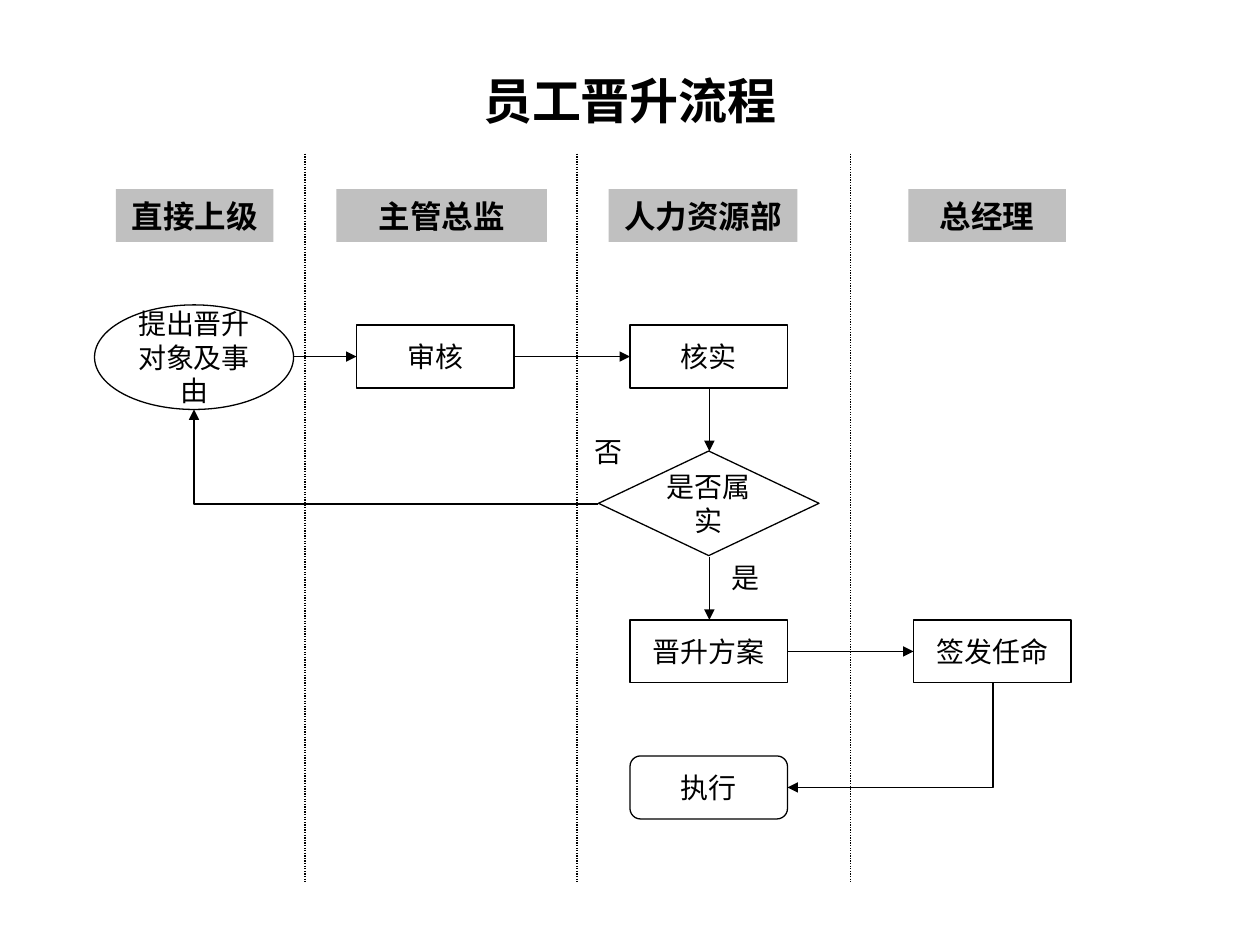
import pptx
import pptx.dml.color
import pptx.enum.dml
import pptx.enum.shapes
import pptx.enum.text
import pptx.oxml
import pptx.oxml.ns
import pptx.util
from dataclasses import dataclass
from pptx.util import Inches


@dataclass(frozen=True)
class Theme:
    font: str = "Times New Roman"
    ink: str = "000000"
    header_fill: str = "C0C0C0"
    title_size: int = 28
    header_size: int = 18
    body_size: int = 16
    line_width: float = 0.75


theme = Theme()
rgb = pptx.dml.color.RGBColor.from_string
shape_types = pptx.enum.shapes.MSO_SHAPE
connector_types = pptx.enum.shapes.MSO_CONNECTOR

presentation = pptx.Presentation()
presentation.slide_width = Inches(10)
presentation.slide_height = Inches(7.5)
slide = presentation.slides.add_slide(presentation.slide_layouts[6])


def add_box(text, left, top, width, height, kind=None, size=theme.body_size,
            bold=False, fill=None):
    """Add centred text, in a preset shape when a kind is given."""
    place = [Inches(value) for value in (left, top, width, height)]
    if kind is None:
        shape = slide.shapes.add_textbox(*place)
    else:
        shape = slide.shapes.add_shape(kind, *place)
        shape.shadow.inherit = False
        if fill:
            shape.fill.solid()
            shape.fill.fore_color.rgb = rgb(fill)
            shape.line.fill.background()
        else:
            shape.fill.background()
            shape.line.color.rgb = rgb(theme.ink)
            shape.line.width = pptx.util.Pt(theme.line_width)
    frame = shape.text_frame
    frame.word_wrap = True
    frame.vertical_anchor = pptx.enum.text.MSO_ANCHOR.MIDDLE
    paragraph = frame.paragraphs[0]
    paragraph.alignment = pptx.enum.text.PP_ALIGN.CENTER
    run = paragraph.add_run()
    run.text = text
    run.font.name = theme.font
    run.font.size = pptx.util.Pt(size)
    run.font.bold = bold
    run.font.color.rgb = rgb(theme.ink)


def add_line(start, end, kind=connector_types.STRAIGHT, arrow=True):
    """Add a flow arrow, or a dotted divider when arrow is False."""
    connector = slide.shapes.add_connector(
        kind, *[Inches(value) for value in (*start, *end)])
    connector.line.color.rgb = rgb(theme.ink)
    connector.line.width = pptx.util.Pt(theme.line_width)
    properties = connector._element.spPr
    if arrow:
        tail = pptx.oxml.parse_xml(
            f'<a:tailEnd {pptx.oxml.ns.nsdecls("a")} type="triangle"/>')
        properties.find(pptx.oxml.ns.qn("a:ln")).append(tail)
    else:
        connector.line.dash_style = pptx.enum.dml.MSO_LINE.ROUND_DOT
    properties.append(pptx.oxml.parse_xml(
        f'<a:effectLst {pptx.oxml.ns.nsdecls("a")}/>'))
    if kind == connector_types.ELBOW:
        geometry = properties.find(pptx.oxml.ns.qn("a:prstGeom"))
        geometry.set("prst", "bentConnector2")
    return connector


# Title
add_box("员工晋升流程", 0.75, 0.58, 8.5, 0.42, size=theme.title_size, bold=True)

# Lane dividers
for x in (2.42, 4.58, 6.75):
    add_line((x, 1.22), (x, 7), arrow=False)

# Lane headers
for text, left, width in (
    ("直接上级", 0.92, 1.25),
    ("主管总监", 2.67, 1.67),
    ("人力资源部", 4.83, 1.5),
    ("总经理", 7.21, 1.25),
):
    add_box(text, left, 1.5, width, 0.42, shape_types.RECTANGLE,
            theme.header_size, True, theme.header_fill)

# Process steps
for text, left, top, kind in (
    ("审核", 2.83, 2.58, shape_types.RECTANGLE),
    ("核实", 5, 2.58, shape_types.RECTANGLE),
    ("晋升方案", 5, 4.92, shape_types.RECTANGLE),
    ("签发任命", 7.25, 4.92, shape_types.RECTANGLE),
    ("执行", 5, 6, shape_types.ROUNDED_RECTANGLE),
):
    add_box(text, left, top, 1.25, 0.5, kind)

# Start and decision
add_box("提出晋升对象及事由", 0.75, 2.42, 1.58, 0.83, shape_types.OVAL)
add_box("是否属实", 4.75, 3.58, 1.75, 0.83, shape_types.FLOWCHART_DECISION)
add_box("否", 4.58, 3.33, 0.5, 0.5)
add_box("是", 5.67, 4.33, 0.5, 0.5)

# Straight arrows
for start, end in (
    ((2.33, 2.83), (2.83, 2.83)),
    ((4.08, 2.83), (5, 2.83)),
    ((5.63, 3.08), (5.63, 3.58)),
    ((5.63, 4.42), (5.63, 4.92)),
    ((6.25, 5.17), (7.25, 5.17)),
):
    add_line(start, end)

# Bent arrows: back to the start, and down to execution (a quarter turn)
add_line((4.75, 4), (1.54, 3.25), connector_types.ELBOW)
execution_arrow = add_line((6.65, 5.02), (7.48, 6.65), connector_types.ELBOW)
execution_arrow._element.spPr.find(
    pptx.oxml.ns.qn("a:xfrm")).set("rot", str(90 * 60000))

presentation.save("out.pptx")
